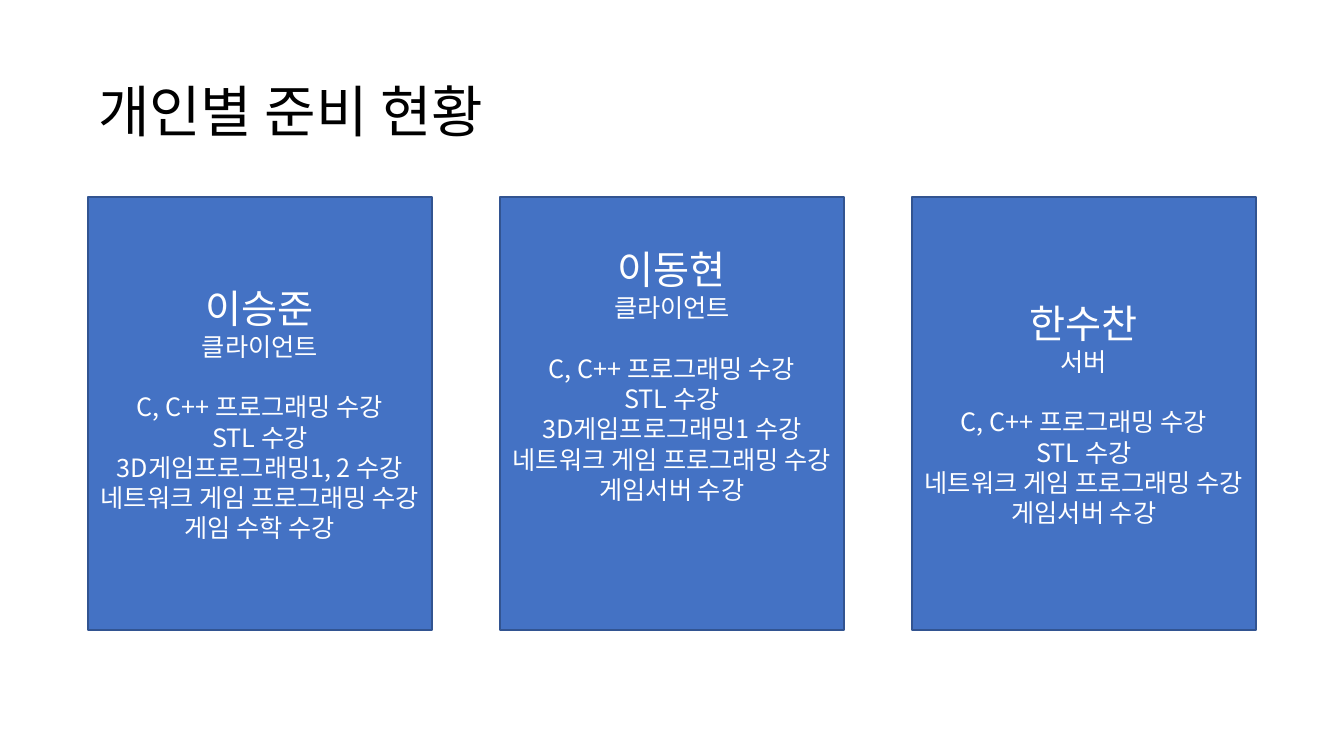
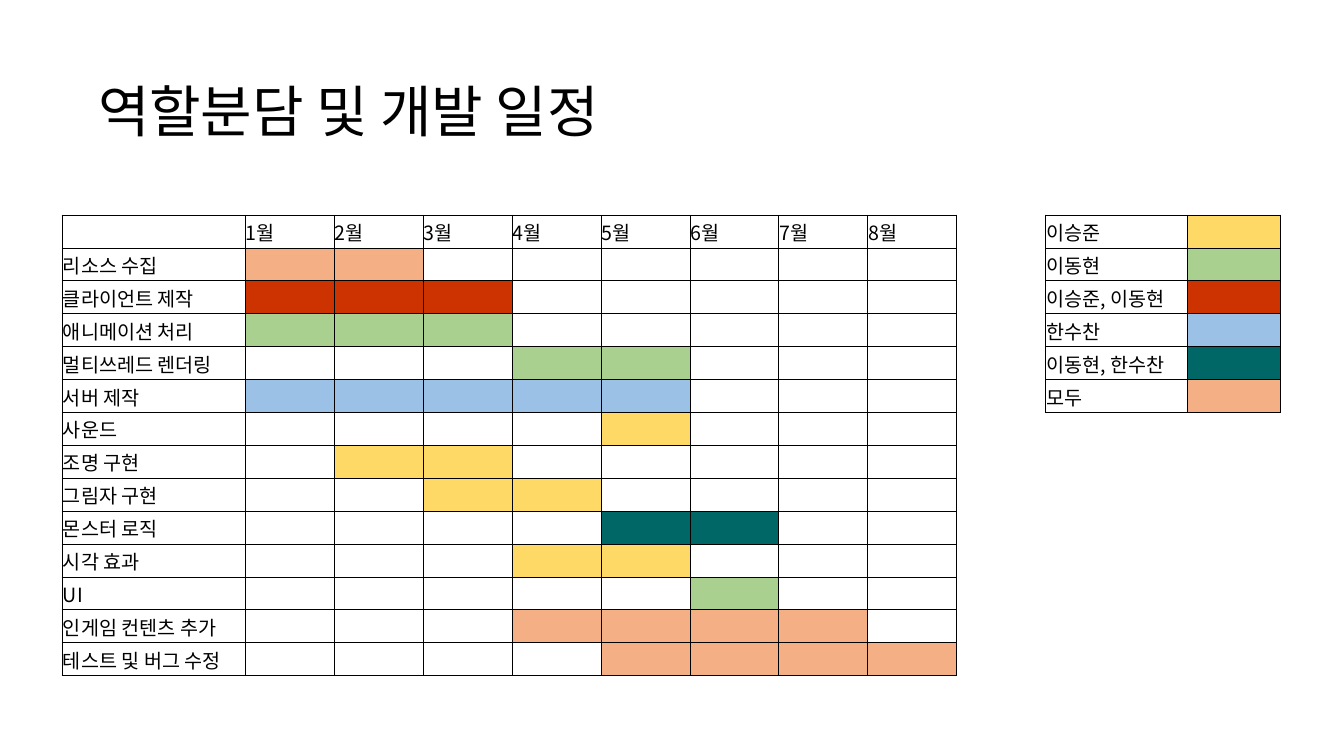
from lxml import etree
from pptx import Presentation
from pptx.dml.color import RGBColor
from pptx.enum.shapes import MSO_SHAPE
from pptx.enum.text import MSO_ANCHOR, MSO_AUTO_SIZE, PP_ALIGN
from pptx.oxml.ns import qn
from pptx.util import Pt

RECT = MSO_SHAPE.RECTANGLE
MIDDLE = MSO_ANCHOR.MIDDLE
LEFT, CENTER = PP_ALIGN.LEFT, PP_ALIGN.CENTER
NO_AUTOFIT = MSO_AUTO_SIZE.NONE

SLIDE_W, SLIDE_H = 1344, 756
EMU_PER_PX = 12192000 / SLIDE_W
TITLE_ONLY = 5
FONT = "Noto Sans CJK KR"
BLACK, WHITE = "000000", "FFFFFF"
CARD_FILL, CARD_LINE = "4472C4", "325491"
LINE_FACTOR = 1.2

MEMBERS = [
    # name, role, courses, bottom inset
    ("이승준", "클라이언트",
     ["C, C++ 프로그래밍 수강", "STL 수강", "3D게임프로그래밍1, 2 수강",
      "네트워크 게임 프로그래밍 수강", "게임 수학 수강"], 5),
    ("이동현", "클라이언트",
     ["C, C++ 프로그래밍 수강", "STL 수강", "3D게임프로그래밍1 수강",
      "네트워크 게임 프로그래밍 수강", "게임서버 수강"], 82),
    ("한수찬", "서버",
     ["C, C++ 프로그래밍 수강", "STL 수강",
      "네트워크 게임 프로그래밍 수강", "게임서버 수강"], 5),
]

OWNERS = {
    "이승준": "FFD966",
    "이동현": "A9D08E",
    "이승준, 이동현": "CC3300",
    "한수찬": "9BC2E6",
    "이동현, 한수찬": "006666",
    "모두": "F4B084",
}
MONTHS = 8
TASKS = [
    # task, owner, first month, last month
    ("리소스 수집", "모두", 1, 2),
    ("클라이언트 제작", "이승준, 이동현", 1, 3),
    ("애니메이션 처리", "이동현", 1, 3),
    ("멀티쓰레드 렌더링", "이동현", 4, 5),
    ("서버 제작", "한수찬", 1, 5),
    ("사운드", "이승준", 5, 5),
    ("조명 구현", "이승준", 2, 3),
    ("그림자 구현", "이승준", 3, 4),
    ("몬스터 로직", "이동현, 한수찬", 5, 6),
    ("시각 효과", "이승준", 4, 5),
    ("UI", "이동현", 6, 6),
    ("인게임 컨텐츠 추가", "모두", 4, 7),
    ("테스트 및 버그 수정", "모두", 5, 8),
]
LEGEND_COL = MONTHS + 2
COLUMN_WIDTHS = [183] + [89] * (MONTHS + 1) + [142, 93]


def px(n):
    return round(n * EMU_PER_PX)


def rgb(color):
    return RGBColor.from_string(color)


def add_run(p, text, size, color=BLACK):
    r = p.add_run()
    r.text = text
    r.font.size = Pt(size)
    r.font.color.rgb = rgb(color)
    r.font.name = FONT
    etree.SubElement(r.font._element, qn("a:ea"), typeface=FONT)


def add_titled_slide(prs, title, width):
    s = prs.slides.add_slide(prs.slide_layouts[TITLE_ONLY])
    sp = s.shapes.title
    sp.left, sp.top, sp.width, sp.height = px(88), px(72), px(width), px(77)
    tf = sp.text_frame
    tf.auto_size = NO_AUTOFIT
    tf.word_wrap = True
    tf.vertical_anchor = MIDDLE
    p = tf.paragraphs[0]
    p.alignment = LEFT
    p.line_spacing = 1.0
    add_run(p, title, 40)
    return s


def add_member_card(s, left, top, width, height, member):
    name, role, courses, bottom_inset = member
    sp = s.shapes.add_shape(RECT, px(left), px(top), px(width), px(height))
    sp.shadow.inherit = False
    sp.fill.solid()
    sp.fill.fore_color.rgb = rgb(CARD_FILL)
    sp.line.color.rgb = rgb(CARD_LINE)
    sp.line.width = Pt(1)
    tf = sp.text_frame
    tf.word_wrap = True
    tf.vertical_anchor = MIDDLE
    tf.margin_left = tf.margin_right = tf.margin_top = px(5)
    tf.margin_bottom = px(bottom_inset)
    for i, text in enumerate([name, role] + courses):
        size = 28 if i == 0 else 18
        p = tf.paragraphs[0] if i == 0 else tf.add_paragraph()
        p.alignment = CENTER
        p.line_spacing = Pt(size * LINE_FACTOR)
        if i == 2:
            p.space_before = Pt(size * LINE_FACTOR)
        add_run(p, text, size, WHITE)


def add_member_cards(s, left, top, width, height, gap):
    for i, member in enumerate(MEMBERS):
        add_member_card(s, left + i * (width + gap), top, width, height, member)


def is_boxed(row, col):
    """Tell whether a cell belongs to the schedule or to the legend."""
    in_schedule = 0 <= row <= len(TASKS) and 0 <= col <= MONTHS
    in_legend = 0 <= row < len(OWNERS) and LEGEND_COL <= col <= LEGEND_COL + 1
    return in_schedule or in_legend


def set_borders(cell, row, col):
    tc_pr = cell._tc.get_or_add_tcPr()
    for side, d_row, d_col in (("L", 0, -1), ("R", 0, 1), ("T", -1, 0), ("B", 1, 0)):
        ln = etree.SubElement(tc_pr, qn(f"a:ln{side}"), w=str(Pt(0.5)))
        if is_boxed(row, col) or is_boxed(row + d_row, col + d_col):
            fill = etree.SubElement(ln, qn("a:solidFill"))
            etree.SubElement(fill, qn("a:srgbClr"), val=BLACK)
        else:
            etree.SubElement(ln, qn("a:noFill"))


def schedule_contents():
    """Return the texts and the fills, each keyed by (row, column)."""
    texts = {(0, m): f"{m}월" for m in range(1, MONTHS + 1)}
    fills = {}
    for row, (task, owner, first, last) in enumerate(TASKS, 1):
        texts[row, 0] = task
        for month in range(first, last + 1):
            fills[row, month] = OWNERS[owner]
    for row, (owner, color) in enumerate(OWNERS.items()):
        texts[row, LEGEND_COL] = owner
        fills[row, LEGEND_COL + 1] = color
    return texts, fills


def format_cell(cell, row, col, text, color):
    cell.margin_left = cell.margin_right = cell.margin_top = px(1)
    cell.margin_bottom = 0
    cell.vertical_anchor = MIDDLE
    set_borders(cell, row, col)
    if color:
        cell.fill.solid()
        cell.fill.fore_color.rgb = rgb(color)
    else:
        cell.fill.background()
    p = cell.text_frame.paragraphs[0]
    if text:
        add_run(p, text, 14)
    else:
        etree.SubElement(p._p, qn("a:endParaRPr"), sz="1400")


def add_schedule(s, left, top, height):
    rows = len(TASKS) + 1
    table = s.shapes.add_table(rows, len(COLUMN_WIDTHS), px(left), px(top),
                               px(sum(COLUMN_WIDTHS)), px(height)).table
    table.first_row = table.horz_banding = False
    for column, width in zip(table.columns, COLUMN_WIDTHS):
        column.width = px(width)
    texts, fills = schedule_contents()
    for i, row in enumerate(table.rows):
        row.height = px(height / rows)
        for j, cell in enumerate(row.cells):
            format_cell(cell, i, j, texts.get((i, j)), fills.get((i, j)))


def main():
    prs = Presentation()
    prs.slide_width, prs.slide_height = px(SLIDE_W), px(SLIDE_H)
    s = add_titled_slide(prs, "개인별 준비 현황", 457)
    add_member_cards(s, 88, 197, 344, 433, 68)
    s = add_titled_slide(prs, "역할분담 및 개발 일정", 590)
    add_schedule(s, 62, 215, 461)
    prs.save("out.pptx")


if __name__ == "__main__":
    main()
